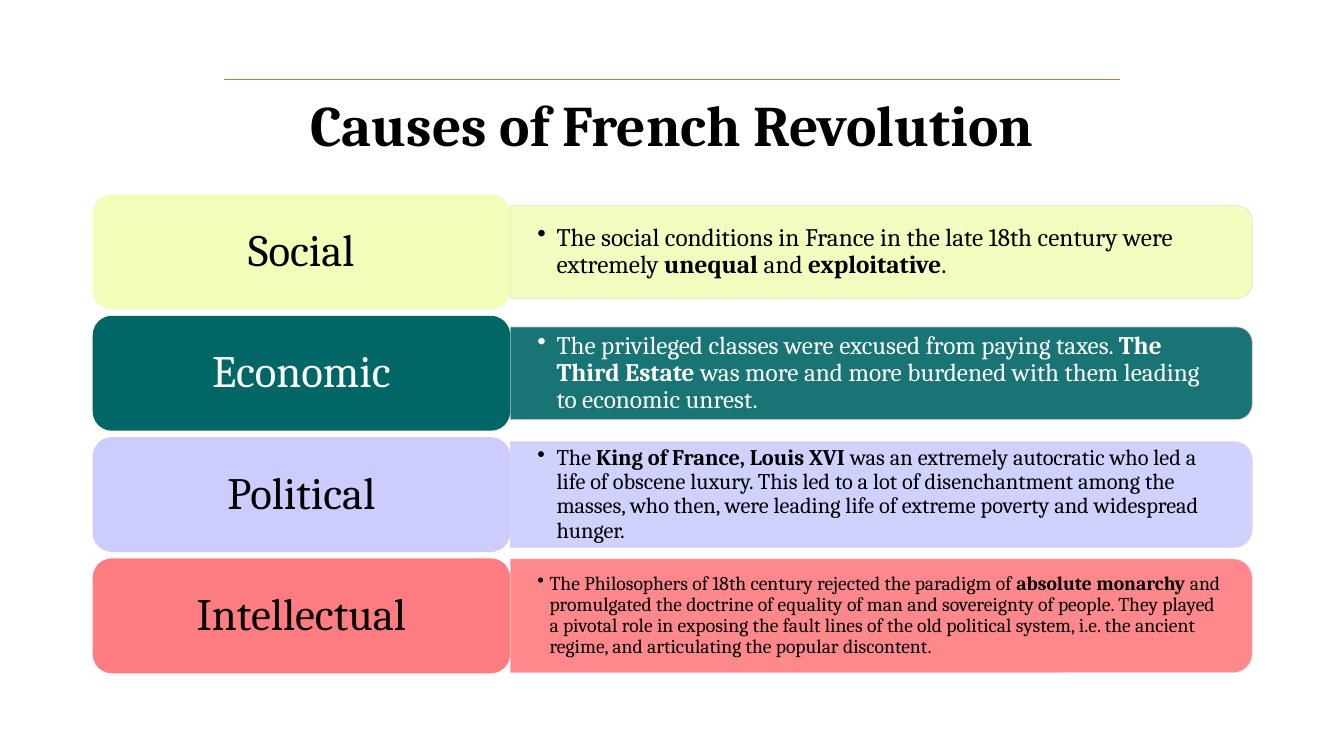
"""Build a slide listing four causes of the French Revolution."""
from lxml import etree
from pptx import Presentation
from pptx.dml.color import RGBColor
from pptx.enum.shapes import MSO_CONNECTOR, MSO_SHAPE
from pptx.enum.text import MSO_ANCHOR, MSO_AUTO_SIZE, PP_ALIGN
from pptx.oxml.ns import qn
from pptx.util import Inches, Pt

ROUND = MSO_SHAPE.ROUNDED_RECTANGLE
ROUND_TOP = MSO_SHAPE.ROUND_2_SAME_RECTANGLE
STRAIGHT = MSO_CONNECTOR.STRAIGHT
TOP, MIDDLE = MSO_ANCHOR.TOP, MSO_ANCHOR.MIDDLE
CENTER, LEFT = PP_ALIGN.CENTER, PP_ALIGN.LEFT
NO_FIT = MSO_AUTO_SIZE.NONE

THEME = {
    "font": "Cambria",
    "black": "000000", "white": "FFFFFF", "rule": "D7712C",
    "lime": "F2FDB9", "teal": "006666", "lilac": "CCCCFF", "coral": "FF7C80",
    "lime_edge": "F8D7CE", "teal_edge": "F1D8D4",
    "lilac_edge": "E9DBDA", "coral_edge": "E1E1E1",
    "title": 41, "label": 32, "large": 18, "medium": 16, "small": 14,
}

CAUSES = [
    ("Social", "lime", "black", "large", 0.92, 0.19, [
        ("The social conditions in France in the late 18th century were extremely ", False),
        ("unequal", True), (" and ", False), ("exploitative", True), (".", False)]),
    ("Economic", "teal", "white", "large", 0.92, 0.19, [
        ("The privileged classes were excused from paying taxes. ", False),
        ("The Third Estate ", True),
        ("was more and more burdened with them leading to economic unrest.", False)]),
    ("Political", "lilac", "black", "medium", 1.05, 0.19, [
        ("The ", False), ("King of France, Louis XVI ", True),
        ("was an extremely autocratic who led a life of obscene luxury. This led to a lot of "
         "disenchantment among the masses, who then, were leading life of extreme poverty "
         "and widespread hunger.", False)]),
    ("Intellectual", "coral", "black", "small", 1.13, 0.12, [
        ("The Philosophers of 18th century rejected the paradigm of ", False),
        ("absolute monarchy ", True),
        ("and promulgated the doctrine of equality of man and sovereignty of people. They "
         "played a pivotal role in exposing the fault lines of the old political system, "
         "i.e. the ancient regime, and articulating the popular discontent.", False)]),
]


def rgb(name):
    """Return a theme colour."""
    return RGBColor.from_string(THEME[name])


def write(shape, runs, size, color, align, anchor, inset_x, inset_y, indent=0):
    """Fill a shape with one paragraph, bulleted when it has an indent."""
    tf = shape.text_frame
    tf.word_wrap = True
    tf.auto_size = NO_FIT
    tf.vertical_anchor = anchor
    tf.margin_left = tf.margin_right = Inches(inset_x)
    tf.margin_top = tf.margin_bottom = Inches(inset_y)
    p = tf.paragraphs[0]
    p.alignment = align
    p.line_spacing = 0.9
    if indent:
        pPr = p._p.get_or_add_pPr()
        pPr.set("marL", str(Inches(indent)))
        pPr.set("indent", str(-Inches(indent)))
        etree.SubElement(pPr, qn("a:buChar")).set("char", "•")
    for text, bold in runs:
        r = p.add_run()
        r.text = text
        r.font.name = THEME["font"]
        r.font.size = Pt(THEME[size])
        r.font.bold = bold
        r.font.color.rgb = rgb(color)


prs = Presentation()
prs.slide_width, prs.slide_height = Inches(13.33), Inches(7.5)
s = prs.slides.add_slide(prs.slide_layouts[5])

LABEL_LEFT, LABEL_W, LABEL_H = 0.92, 4.14, 1.14
BAR_LEFT, BAR_W = LABEL_LEFT + LABEL_W, 7.36
FIRST_MIDDLE, PITCH = 2.5, 1.2033
RULE_LEFT, RULE_TOP, RULE_W = 2.22, 0.79, 8.89

for i, (name, fill, ink, size, bar_h, indent, runs) in enumerate(CAUSES):
    middle = FIRST_MIDDLE + i * PITCH

    bar = s.shapes.add_shape(
        ROUND_TOP, Inches(BAR_LEFT + (BAR_W - bar_h) / 2), Inches(middle - BAR_W / 2),
        Inches(bar_h), Inches(BAR_W))
    bar.rotation = 90
    bar.shadow.inherit = False
    bar.fill.solid()
    bar.fill.fore_color.rgb = rgb(fill)
    bar.line.color.rgb = rgb(fill + "_edge")
    bar.line.width = Pt(0.5)
    for clr in bar._element.spPr.iter(qn("a:srgbClr")):
        etree.SubElement(clr, qn("a:alpha")).set("val", "90000")

    text_h = bar_h - 0.1
    box = s.shapes.add_textbox(Inches(BAR_LEFT), Inches(middle - text_h / 2),
                               Inches(BAR_W - 0.04), Inches(text_h))
    write(box, runs, size, ink, LEFT, MIDDLE, 0.27, 0.14, indent)

    label = s.shapes.add_shape(ROUND, Inches(LABEL_LEFT), Inches(middle - LABEL_H / 2),
                               Inches(LABEL_W), Inches(LABEL_H))
    label.shadow.inherit = False
    label.fill.solid()
    label.fill.fore_color.rgb = rgb(fill)
    label.line.fill.background()
    write(label, [(name, False)], "label", ink, CENTER, MIDDLE, 0.13, 0.07)

rule = s.shapes.add_connector(STRAIGHT, Inches(RULE_LEFT), Inches(RULE_TOP),
                              Inches(RULE_LEFT + RULE_W), Inches(RULE_TOP))
rule.line.color.rgb = rgb("rule")
rule.line.width = Pt(1)
etree.SubElement(rule._element.spPr, qn("a:effectLst"))

title = s.shapes.title
title.left, title.top = Inches(RULE_LEFT), Inches(RULE_TOP)
title.width, title.height = Inches(RULE_W), Inches(0.98)
write(title, [("Causes of French Revolution", True)], "title", "black", CENTER, TOP, 0.17, 0.17)

prs.save("out.pptx")
